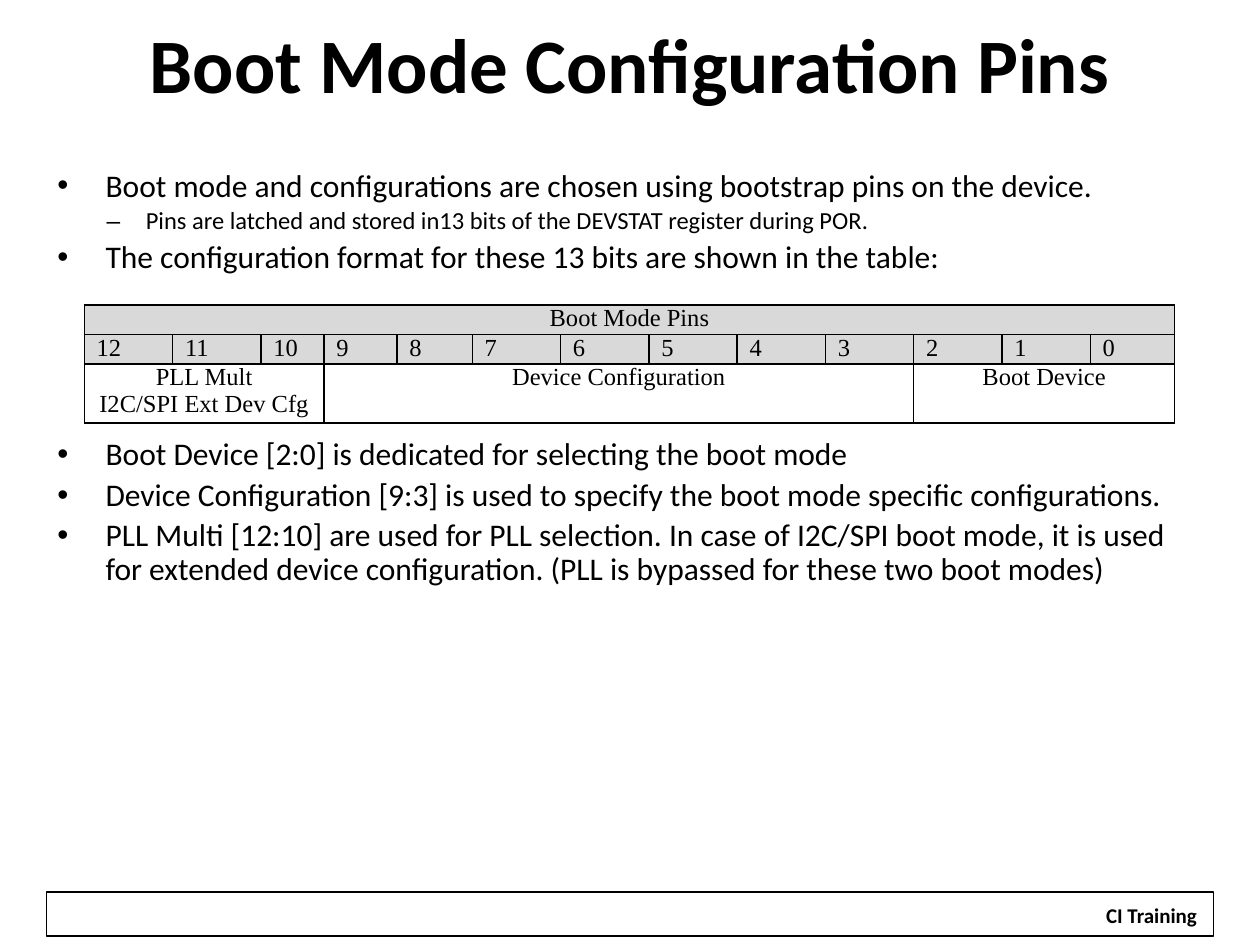
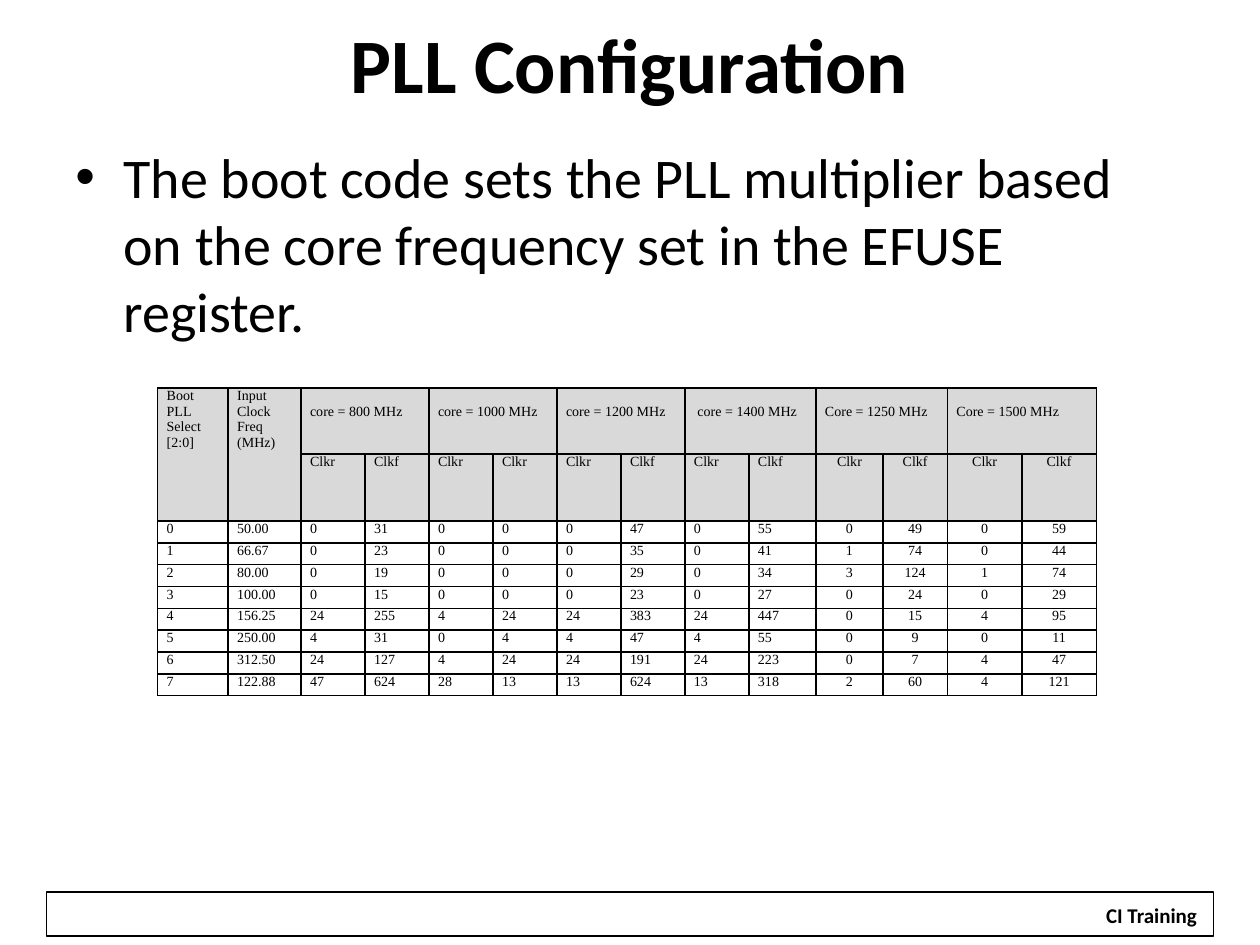
from dataclasses import dataclass

import pptx
import pptx.dml.color
import pptx.enum.shapes
import pptx.enum.text
import pptx.oxml.ns
import pptx.util
from lxml import etree

Cm = pptx.util.Cm
Pt = pptx.util.Pt
qn = pptx.oxml.ns.qn
Align = pptx.enum.text.PP_ALIGN
Anchor = pptx.enum.text.MSO_ANCHOR


@dataclass(frozen=True)
class Theme:
    ink: pptx.dml.color.RGBColor = pptx.dml.color.RGBColor(0, 0, 0)
    paper: pptx.dml.color.RGBColor = pptx.dml.color.RGBColor(255, 255, 255)
    header: pptx.dml.color.RGBColor = pptx.dml.color.RGBColor(0xD9, 0xD9, 0xD9)
    text_font: str = "Calibri"
    table_font: str = "Times New Roman"
    title_size: int = 44
    lead_size: int = 32
    body_size: int = 18
    detail_size: int = 14
    pins_size: int = 14
    clock_size: int = 8
    footer_size: int = 12


BULLETS = [("•", 0.97, -0.97), ("–", 1.78, -0.79)]


class Deck:
    def __init__(self, theme):
        self.theme = theme
        self.presentation = pptx.Presentation()
        self.presentation.slide_width = Cm(25.4)
        self.presentation.slide_height = Cm(19.05)
        self.slide = None

    def style(self, paragraph, size, bold=False, font=None):
        paragraph.font.name = font or self.theme.text_font
        paragraph.font.size = Pt(size)
        paragraph.font.bold = bold
        paragraph.font.color.rgb = self.theme.ink

    def new_slide(self, title):
        layout = self.presentation.slide_layouts.get_by_name("Title Only")
        self.slide = self.presentation.slides.add_slide(layout)
        self.footer("CI Training")
        shape = self.slide.shapes.title
        shape.left, shape.top = Cm(1.27), Cm(0.2)
        shape.width, shape.height = Cm(22.86), Cm(2.11)
        shape.text_frame.text = title
        shape.text_frame.vertical_anchor = Anchor.MIDDLE
        paragraph = shape.text_frame.paragraphs[0]
        paragraph.alignment = Align.CENTER
        self.style(paragraph, self.theme.title_size, bold=True)

    def rectangle(self, left, top, width, height):
        shape = self.slide.shapes.add_shape(
            pptx.enum.shapes.MSO_SHAPE.RECTANGLE, Cm(left), Cm(top), Cm(width), Cm(height))
        shape.shadow.inherit = False
        return shape

    def footer(self, text):
        frame = self.rectangle(0.94, 17.98, 23.52, 0.89)
        frame.fill.background()
        frame.line.color.rgb = self.theme.ink
        frame.line.width = Pt(0.75)
        label = self.rectangle(22.02, 18.06, 2.39, 0.76)
        label.fill.solid()
        label.fill.fore_color.rgb = self.theme.paper
        label.line.fill.background()
        label.text_frame.word_wrap = False
        label.text_frame.text = text
        paragraph = label.text_frame.paragraphs[0]
        paragraph.alignment = Align.CENTER
        self.style(paragraph, self.theme.footer_size, bold=True)

    def bullets(self, left, top, width, height, items, line_spacing=1.0):
        shape = self.slide.shapes.add_textbox(Cm(left), Cm(top), Cm(width), Cm(height))
        frame = shape.text_frame
        frame.word_wrap = True
        frame.text = "\n".join(text for text, _, _ in items)
        for index, (paragraph, (_, level, size)) in enumerate(zip(frame.paragraphs, items)):
            symbol, margin, indent = BULLETS[level]
            paragraph.level = level
            paragraph.line_spacing = line_spacing
            if index:
                paragraph.space_before = Pt(0.2 * size)
            properties = paragraph._p.get_or_add_pPr()
            properties.set("marL", str(Cm(margin)))
            properties.set("indent", str(Cm(indent)))
            etree.SubElement(properties, qn("a:buFont"), typeface="Arial")
            etree.SubElement(properties, qn("a:buChar"), char=symbol)
            self.style(paragraph, size)

    def border(self, cell):
        properties = cell._tc.get_or_add_tcPr()
        for side in ("lnL", "lnR", "lnT", "lnB"):
            line = etree.SubElement(properties, qn(f"a:{side}"), w=str(Pt(1)))
            fill = etree.SubElement(line, qn("a:solidFill"))
            etree.SubElement(fill, qn("a:srgbClr"), val=str(self.theme.ink))

    def table(self, left, top, columns, heights, rows, merges, size, side_margin,
              header_rows, centred):
        table = self.slide.shapes.add_table(
            len(heights), len(columns), Cm(left), Cm(top),
            Cm(sum(columns)), Cm(sum(heights))).table
        table.first_row = table.horz_banding = False
        for column, width in zip(table.columns, columns):
            column.width = Cm(width)
        for row, height in zip(table.rows, heights):
            row.height = Cm(height)
        for first_row, first_column, last_row, last_column in merges:
            table.cell(first_row, first_column).merge(table.cell(last_row, last_column))
        for row_index, row in enumerate(rows):
            for column_index, text in enumerate(row):
                cell = table.cell(row_index, column_index)
                cell.margin_left = cell.margin_right = Cm(side_margin)
                cell.margin_top = cell.margin_bottom = 0
                self.border(cell)
                if row_index < header_rows:
                    cell.fill.solid()
                    cell.fill.fore_color.rgb = self.theme.header
                else:
                    cell.fill.background()
                cell.text_frame.text = text
                for paragraph in cell.text_frame.paragraphs:
                    if centred(row_index, column_index):
                        paragraph.alignment = Align.CENTER
                    self.style(paragraph, size, font=self.theme.table_font)
                    if cell.is_spanned:
                        etree.SubElement(paragraph._p, qn("a:endParaRPr"), sz=str(size * 100))
        return table


def spread(texts, spans):
    return [cell for text, span in zip(texts, spans) for cell in [text] + [""] * (span - 1)]


def boot_mode_slide(deck):
    theme = deck.theme
    deck.new_slide("Boot Mode Configuration Pins")
    deck.bullets(0.91, 3.3, 23.52, 2.7, [
        ("Boot mode and configurations are chosen using bootstrap pins on the device.",
         0, theme.body_size),
        ("Pins are latched and stored in13 bits of the DEVSTAT register during POR.",
         1, theme.detail_size),
        ("The configuration format for these 13 bits are shown in the table:",
         0, theme.body_size),
    ], 0.9)
    fields = ["PLL Mult\nI2C/SPI Ext Dev Cfg", "Device Configuration", "Boot Device"]
    deck.table(
        1.7, 6.15, [1.78, 1.78, 1.27, 1.47, 1.52] + [1.78] * 7 + [1.7], [0.58, 0.58, 1.17],
        [spread(["Boot Mode Pins"], [13]),
         [str(pin) for pin in range(12, -1, -1)],
         spread(fields, [3, 7, 3])],
        [(0, 0, 0, 12), (2, 0, 2, 2), (2, 3, 2, 9), (2, 10, 2, 12)],
        theme.pins_size, 0.25, 2, lambda row, column: row != 1)
    deck.bullets(0.91, 8.72, 23.52, 3.5, [(text, 0, theme.body_size) for text in (
        "Boot Device [2:0] is dedicated for selecting the boot mode",
        "Device Configuration [9:3] is used to specify the boot mode specific configurations.",
        "PLL Multi [12:10] are used for PLL selection. In case of I2C/SPI boot mode, it is used "
        "for extended device configuration. (PLL is bypassed for these two boot modes)",
    )], 0.9)


def pll_slide(deck):
    theme = deck.theme
    deck.new_slide("PLL Configuration")
    deck.bullets(1.27, 2.74, 22.86, 4.6, [
        ("The boot code sets the PLL multiplier based on the core frequency set in the EFUSE "
         "register.", 0, theme.lead_size)])
    cores = ["core = 800 MHz", "core = 1000 MHz", "core = 1200 MHz", " core = 1400 MHz",
             "Core = 1250 MHz", "Core = 1500 MHz"]
    settings = """
        0 50.00 0 31 0 0 0 47 0 55 0 49 0 59
        1 66.67 0 23 0 0 0 35 0 41 1 74 0 44
        2 80.00 0 19 0 0 0 29 0 34 3 124 1 74
        3 100.00 0 15 0 0 0 23 0 27 0 24 0 29
        4 156.25 24 255 4 24 24 383 24 447 0 15 4 95
        5 250.00 4 31 0 4 4 47 4 55 0 9 0 11
        6 312.50 24 127 4 24 24 191 24 223 0 7 4 47
        7 122.88 47 624 28 13 13 624 13 318 2 60 4 121
    """.strip().splitlines()
    clocks = ["Clkr", "Clkf", "Clkr", "Clkr"] + ["Clkr", "Clkf"] * 4
    rows = [["Boot PLL Select [2:0]", "Input Clock Freq (MHz)"] + spread(cores, [2] * 6),
            ["", ""] + clocks] + [line.split() for line in settings]
    core_columns = range(2, 14, 2)
    table = deck.table(
        3.18, 7.82, [1.42, 1.47] + [1.29] * 7 + [1.35, 1.35, 1.3, 1.5, 1.5],
        [1.33, 1.24] + [0.44] * 8, rows,
        [(0, 0, 1, 0), (0, 1, 1, 1)] + [(0, column, 0, column + 1) for column in core_columns],
        theme.clock_size, 0.18, 2, lambda row, column: row > 0 and column >= 10)
    for column in core_columns:
        table.cell(0, column).margin_top = Cm(0.32)


def main():
    deck = Deck(Theme())
    boot_mode_slide(deck)
    pll_slide(deck)
    deck.presentation.save("out.pptx")


if __name__ == "__main__":
    main()
